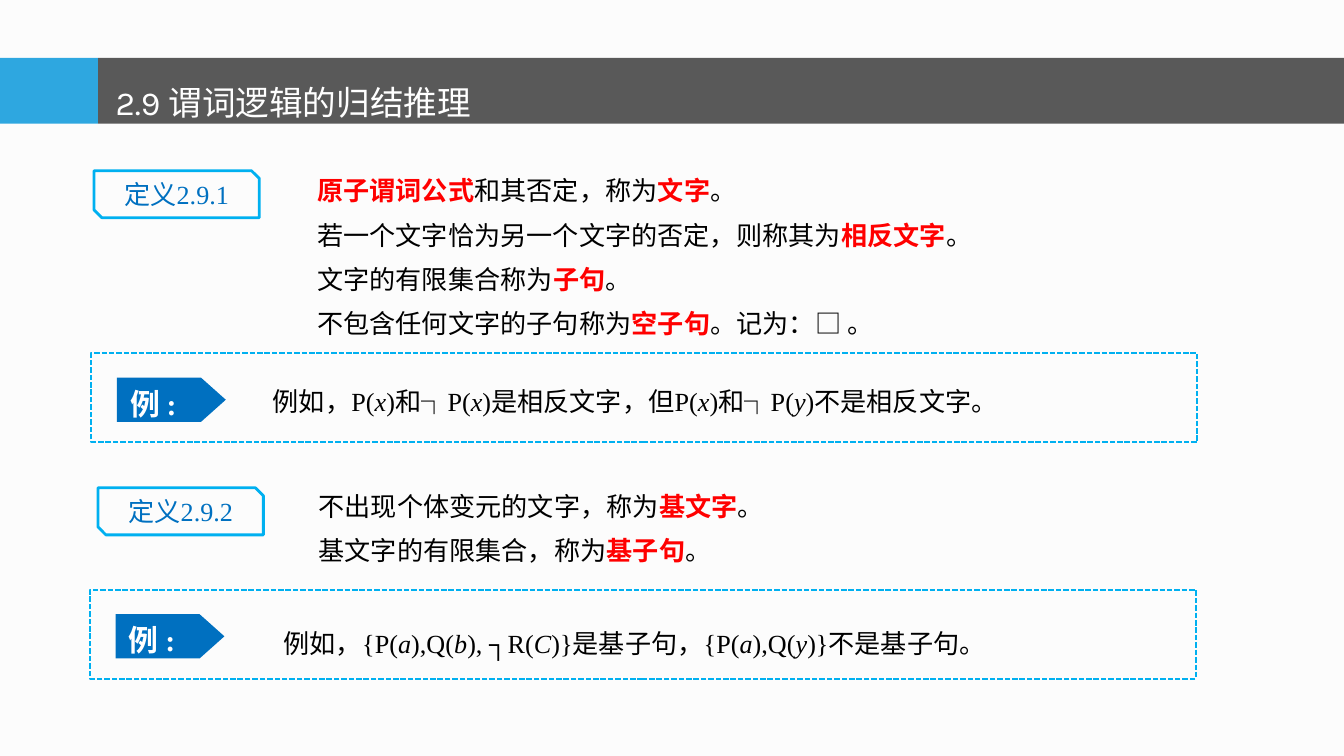
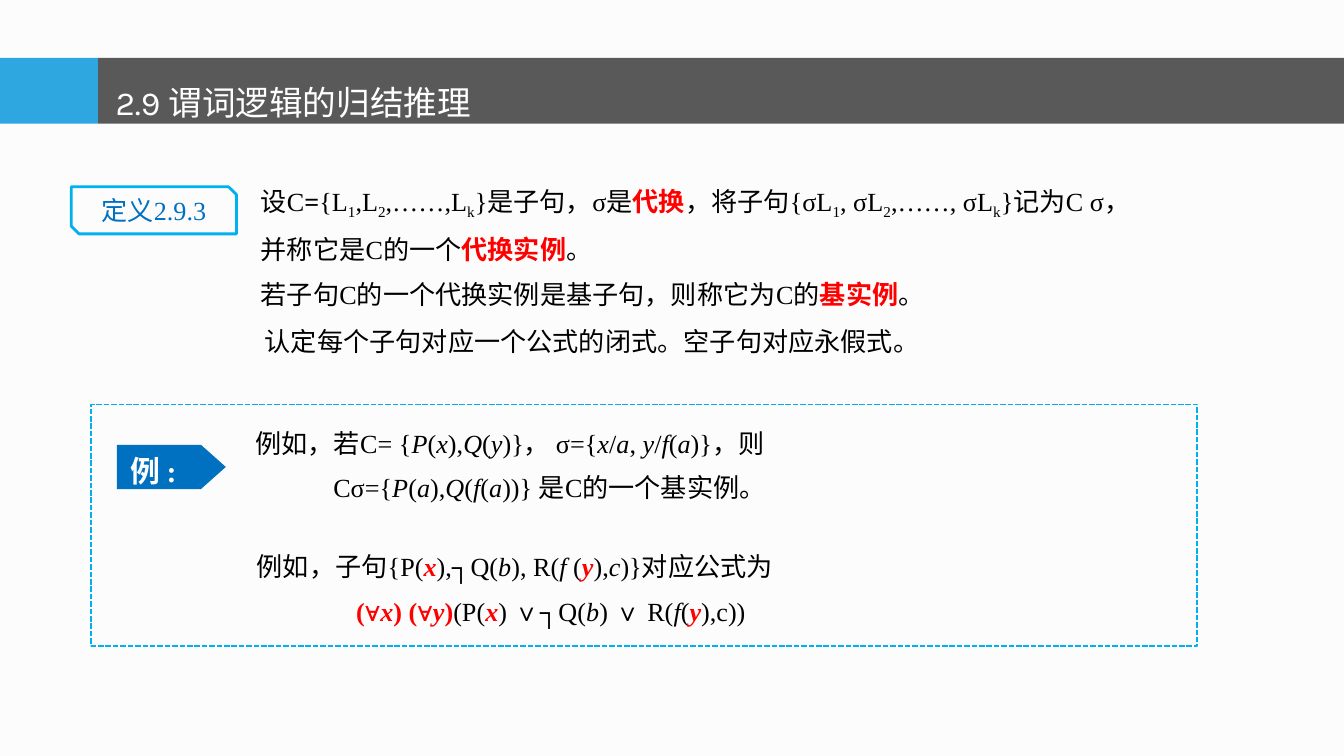
from dataclasses import dataclass
from itertools import zip_longest

from lxml.etree import SubElement
from pptx import Presentation
from pptx.dml.color import RGBColor
from pptx.enum.dml import MSO_LINE
from pptx.enum.shapes import MSO_SHAPE
from pptx.enum.text import MSO_ANCHOR, MSO_AUTO_SIZE, PP_ALIGN
from pptx.oxml.ns import qn
from pptx.util import Inches, Pt

# Grid: 100 columns by 56.25 rows, one cell is a tenth of an inch
COLUMNS, ROWS = 100, 56.25
HANG = 3.8

PAPER = RGBColor(0xFC, 0xFC, 0xFC)
SKY = RGBColor(0x2E, 0xA7, 0xE0)
GRAY = RGBColor(0x59, 0x59, 0x59)
CYAN = RGBColor(0x00, 0xB0, 0xF0)
BLUE = RGBColor(0x00, 0x70, 0xC0)
RED = RGBColor(0xFF, 0x00, 0x00)
BLACK = RGBColor(0x00, 0x00, 0x00)
WHITE = RGBColor(0xFF, 0xFF, 0xFF)

TITLE_FONT, BODY_FONT = "Karla", "Times New Roman"
TITLE = "2.9 谓词逻辑的归结推理"

# Markup: *red key term*, _italic_, ~subscript~, ^bold^
KEY, ITALIC, SUBSCRIPT, BOLD = MARKS = "*_~^"


def cells(count):
    return Inches(count / 10)


@dataclass
class Box:
    left: float
    top: float
    width: float
    height: float

    def inside(self, left, top, width, height):
        return Box(self.left + left, self.top + top, width, height)

    def lengths(self):
        return [cells(n) for n in (self.left, self.top, self.width, self.height)]


def place(shape, box):
    shape.left, shape.top, shape.width, shape.height = box.lengths()


def split_markup(markup):
    """Yield each piece of text with the marks that apply to it."""
    text, style = "", frozenset()
    for char in markup:
        if char not in MARKS:
            text += char
            continue
        if text:
            yield text, style
        text, style = "", style ^ {char}
    if text:
        yield text, style


def write_line(para, markup, size, color, font=BODY_FONT):
    for text, style in split_markup(markup):
        span = para.add_run()
        span.text = text
        span.font.name = font
        span.font.size = Pt(size)
        span.font.bold = KEY in style or BOLD in style
        span.font.italic = ITALIC in style
        span.font.color.rgb = RED if KEY in style else color
        if SUBSCRIPT in style:
            span.font._element.set("baseline", "-25000")


def write_lines(shape, lines, starts=()):
    """Fill a shape with unbulleted, hanging lines; starts shifts single lines."""
    frame = shape.text_frame
    frame.word_wrap = True
    frame.auto_size = MSO_AUTO_SIZE.NONE
    frame.vertical_anchor = MSO_ANCHOR.TOP
    frame.margin_left = frame.margin_right = cells(0.9)
    frame.margin_top = frame.margin_bottom = cells(0.5)
    for number, (markup, start) in enumerate(zip_longest(lines, starts, fillvalue=0)):
        para = frame.add_paragraph() if number else frame.paragraphs[0]
        props = para._p.get_or_add_pPr()
        props.set("marL", str(cells(HANG + start)))
        props.set("indent", str(-cells(HANG)))
        SubElement(props, qn("a:buNone"))
        para.line_spacing = 1.25
        para.space_before = Pt(2.8 if number else 0)
        write_line(para, markup, 14, BLACK)


def add_text(page, box, lines, starts=()):
    write_lines(page.shapes.add_textbox(*box.lengths()), lines, starts)


def add_panel(page, kind, box, fill=None, line=None, width=1):
    panel = page.shapes.add_shape(kind, *box.lengths())
    panel.shadow.inherit = False
    if fill is None:
        panel.fill.background()
    else:
        panel.fill.solid()
        panel.fill.fore_color.rgb = fill
    if line is None:
        panel.line.fill.background()
    else:
        panel.line.color.rgb = line
        panel.line.width = Pt(width)
    return panel


def add_header(page, box):
    """Two-colour band with the slide title on top of it."""
    accent = 7.3
    add_panel(page, MSO_SHAPE.RECTANGLE, box.inside(0, 0, accent, box.height), SKY)
    add_panel(page, MSO_SHAPE.RECTANGLE,
              box.inside(accent, 0, box.width - accent, box.height), GRAY)

    title = page.shapes.title
    page.shapes.element.append(title.element)  # bring in front of the band
    place(title, box.inside(7.6, -0.8, 69.9, 5.5))
    frame = title.text_frame
    frame.word_wrap = True
    frame.auto_size = MSO_AUTO_SIZE.SHAPE_TO_FIT_TEXT
    frame.vertical_anchor = MSO_ANCHOR.TOP
    para = frame.paragraphs[0]
    para.alignment = PP_ALIGN.LEFT
    para.line_spacing = 1.7
    para.space_before = Pt(0)
    write_line(para, TITLE, 18, WHITE, TITLE_FONT)


def add_definition(page, body, box, number, drop, indent, lines):
    """Snipped label on the left, definition text in the body placeholder."""
    label = add_panel(page, MSO_SHAPE.SNIP_2_DIAG_RECTANGLE,
                      box.inside(0, drop, 12.3, 3.5), line=CYAN, width=1.5)
    para = label.text_frame.paragraphs[0]
    para.alignment = PP_ALIGN.CENTER
    write_line(para, "定义" + number, 14, BLUE)

    place(body, box.inside(indent, 0, box.width - indent, box.height))
    write_lines(body, lines)


def add_example(page, box, drop, texts):
    """Dashed frame with an arrow label; texts are (box in frame, lines, starts)."""
    arrow = add_panel(page, MSO_SHAPE.PENTAGON, box.inside(1.9, drop, 8.1, 3.3), BLUE)
    arrow.adjustments[0] = 0.56
    para = arrow.text_frame.paragraphs[0]
    para.alignment = PP_ALIGN.LEFT
    para.line_spacing = 1.2
    write_line(para, "^例 :^", 16, WHITE)

    frame = add_panel(page, MSO_SHAPE.RECTANGLE, box, line=CYAN)
    frame.line.dash_style = MSO_LINE.SQUARE_DOT
    for area, lines, starts in texts:
        add_text(page, box.inside(*area), lines, starts)


def add_page(deck, layout_index):
    page = deck.slides.add_slide(deck.slide_layouts[layout_index])
    add_header(page, Box(0, 4.3, COLUMNS, 4.9))
    return page


def build_literals(deck):
    page = add_page(deck, 3)  # title and two bodies
    add_definition(page, page.placeholders[1], Box(7, 11.9, 85.3, 14.1), "2.9.1", 0.8, 15.7, [
        "*原子谓词公式*和其否定，称为*文字*。",
        "若一个文字恰为另一个文字的否定，则称其为*相反文字*。",
        "文字的有限集合称为*子句*。",
        "不包含任何文字的子句称为*空子句*。记为：□ 。",
    ])
    add_example(page, Box(6.8, 26.3, 82.3, 6.6), 1.8, [
        ((12.6, 1.3, 62.6, 4.4),
         ["例如，P(_x_)和┐P(_x_)是相反文字，但P(_x_)和┐P(_y_)不是相反文字。"], ()),
    ])
    add_definition(page, page.placeholders[2], Box(7.3, 35.4, 78.6, 7), "2.9.2", 0.9, 15.5, [
        "不出现个体变元的文字，称为*基文字*。",
        "基文字的有限集合，称为*基子句*。",
    ])
    add_example(page, Box(6.7, 43.9, 82.3, 6.6), 1.8, [
        ((13.5, 1.7, 63.1, 4.1),
         ["例如，{P(_a_),Q(_b_), ┐R(_C_)}是基子句，{P(_a_),Q(_y_)}不是基子句。"], ()),
    ])


def build_substitution(deck):
    page = add_page(deck, 1)  # title and one body
    add_definition(page, page.placeholders[1], Box(5.3, 12.6, 92.5, 10.8), "2.9.3", 1.3, 13.2, [
        "设C^=^{L~1~,L~2~,……,L~k~}是子句，σ是*代换*，"
        "将子句{σL~1~, σL~2~,……, σL~k~}记为C σ，",
        "并称它是C的一个*代换实例*。",
        "若子句C的一个代换实例是基子句，则称它为C的*基实例*。",
    ])
    add_text(page, Box(18.8, 23.1, 67.9, 4.2),
             ["认定每个子句对应一个公式的闭式。空子句对应永假式。"])
    add_example(page, Box(6.8, 30.1, 82.3, 18), 3, [
        ((11.3, 0.6, 62.2, 7.8), [
            "例如，若C= {_P_(_x_),_Q_(_y_)}， σ={_x_/_a_, _y_/_f_(_a_)}，则",
            "Cσ={_P_(_a_),_Q_(_f_(_a_))} 是C的一个基实例。",
        ], (0, 5.8)),
        ((10.9, 9.8, 61.6, 7.4), [
            "例如，子句{P(*_x_*),┐Q(_b_), R(_f _(*_y_*),_c_)}对应公式为",
            "*(∀_x_) (∀_y_)*(P(*_x_*) ∨┐Q(_b_) ∨ R(_f_(*_y_*),c))",
        ], (0.5, 7.9)),
    ])


def main():
    deck = Presentation()
    deck.slide_width, deck.slide_height = cells(COLUMNS), cells(ROWS)
    background = deck.slide_master.background.fill
    background.solid()
    background.fore_color.rgb = PAPER
    build_literals(deck)
    build_substitution(deck)
    deck.save("out.pptx")


if __name__ == "__main__":
    main()
